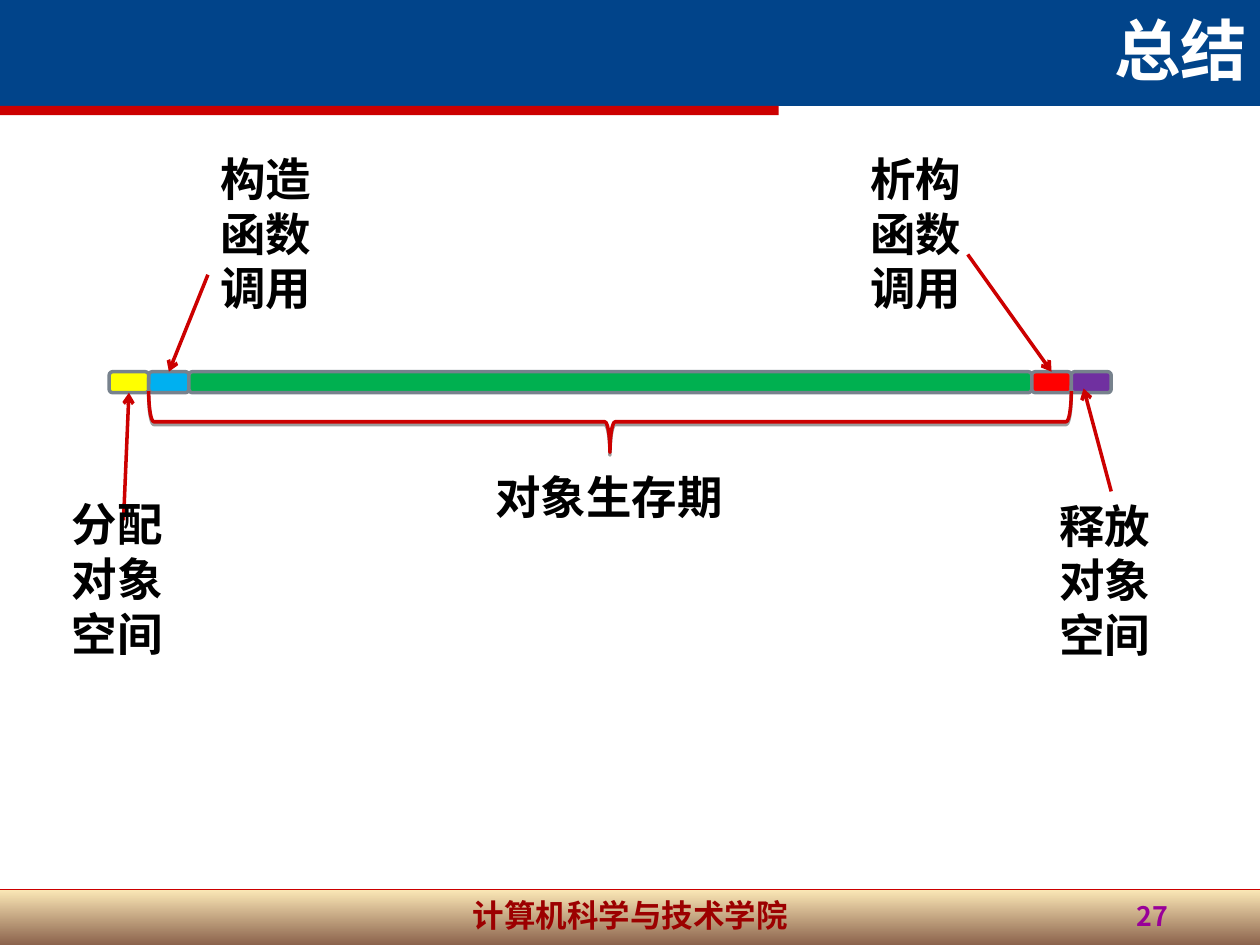
from dataclasses import dataclass
from itertools import pairwise
from typing import NamedTuple, Optional

from lxml.etree import SubElement
from pptx import Presentation
from pptx.dml.color import RGBColor
from pptx.enum.dml import MSO_FILL
from pptx.enum.shapes import MSO_CONNECTOR, MSO_SHAPE
from pptx.enum.text import MSO_ANCHOR, PP_ALIGN
from pptx.oxml.ns import qn
from pptx.util import Pt


@dataclass(frozen=True)
class Theme:
    font: str = "Noto Sans CJK SC"
    header: str = "01448A"
    accent: str = "CC0000"
    outline: str = "77828D"
    footer_top: str = "FCE2A0"
    footer_bottom: str = "663012"
    footer_text: str = "9C0000"
    page_text: str = "990099"
    title_text: str = "FFFFFF"
    label_text: str = "000000"
    title_size: float = 38
    label_size: float = 26
    footer_size: float = 18
    page_size: float = 15.3
    line_width: float = 2


THEME = Theme()


class Box(NamedTuple):
    left: float
    top: float
    width: float
    height: float

    def lengths(self) -> list:
        return [Pt(value) for value in self]


class Callout(NamedTuple):
    """A label with an arrow to one segment of the lifetime bar."""
    wording: str
    box: Box
    start: tuple
    end: tuple
    segment: int
    end_site: Optional[int] = None
    start_site: Optional[int] = None


def set_values(target, values: dict) -> None:
    for name, value in values.items():
        setattr(target, name, value)


def paint_line(line, color: str, width: float) -> None:
    line.color.rgb = RGBColor.from_string(color)
    line.width = Pt(width)


def add_block(slide, preset, box: Box, fill: Optional[str] = None,
              outline: Optional[str] = None):
    block = slide.shapes.add_shape(preset, *box.lengths())
    block.shadow.inherit = False
    if fill:
        block.fill.solid()
        block.fill.fore_color.rgb = RGBColor.from_string(fill)
    else:
        block.fill.background()
    if outline:
        paint_line(block.line, outline, THEME.line_width)
    else:
        block.line.fill.background()
    return block


def add_label(slide, wording: str, box: Box, size: float, color: str,
              align=PP_ALIGN.LEFT, anchor=MSO_ANCHOR.TOP, wrap: bool = True):
    label = slide.shapes.add_textbox(*box.lengths())
    set_values(label.text_frame, {"word_wrap": wrap, "vertical_anchor": anchor})
    paragraph = label.text_frame.paragraphs[0]
    set_values(paragraph, {"alignment": align, "line_spacing": Pt(size * 1.2)})
    run = paragraph.add_run()
    run.text = wording
    set_values(run.font, {"name": THEME.font, "size": Pt(size), "bold": True})
    run.font.color.rgb = RGBColor.from_string(color)
    SubElement(run.font._element, qn("a:ea"), typeface=THEME.font)
    return label


def add_line(slide, start: tuple, end: tuple, width: float, arrow: bool = False):
    connector = slide.shapes.add_connector(
        MSO_CONNECTOR.STRAIGHT, *(Pt(value) for value in (*start, *end)))
    paint_line(connector.line, THEME.accent, width)
    if arrow:
        SubElement(connector.line._get_or_add_ln(), qn("a:tailEnd"), type="arrow")
    SubElement(connector._element.spPr, qn("a:effectLst"))
    return connector


def add_callout(slide, callout: Callout, segments: list) -> None:
    arrow = add_line(slide, callout.start, callout.end, THEME.line_width, arrow=True)
    label = add_label(slide, callout.wording, callout.box,
                      THEME.label_size, THEME.label_text)
    if callout.start_site is not None:
        arrow.begin_connect(label, callout.start_site)
    if callout.end_site is not None:
        arrow.end_connect(segments[callout.segment], callout.end_site)


def add_footer(slide) -> None:
    band = add_block(slide, MSO_SHAPE.RECTANGLE, Box(0, 508.3, 720, 31.7))
    band.fill.gradient()
    assert band.fill.type == MSO_FILL.GRADIENT
    band.fill.gradient_angle = 270
    stops = zip(band.fill.gradient_stops, (THEME.footer_top, THEME.footer_bottom), (0, 1))
    for stop, color, position in stops:
        stop.color.rgb = RGBColor.from_string(color)
        stop.position = position
    for tint in band._element.spPr.iter(qn("a:srgbClr")):
        SubElement(tint, qn("a:alpha"), val="75000")
    add_line(slide, (0, 508.3), (720, 508.3), 0.25)
    add_label(slide, "计算机科学与技术学院", Box(246.2, 508.3, 228.2, 31.7),
              THEME.footer_size, THEME.footer_text, PP_ALIGN.CENTER)


def add_header(slide) -> None:
    add_block(slide, MSO_SHAPE.RECTANGLE, Box(0, 0, 720, 60.5), THEME.header)
    add_block(slide, MSO_SHAPE.RECTANGLE, Box(0, 60.5, 445, 5.3), THEME.accent)
    add_label(slide, "总结", Box(224, 0, 496, 54), THEME.title_size,
              THEME.title_text, PP_ALIGN.RIGHT, MSO_ANCHOR.BOTTOM)


def add_lifetime_brace(slide, left: float, right: float) -> None:
    """Draw a brace that opens upwards between two positions on the bar."""
    depth, span, middle = 35, right - left, 241
    brace = add_block(
        slide, MSO_SHAPE.LEFT_BRACE,
        Box((left + right - depth) / 2, middle - span / 2, depth, span),
        outline=THEME.accent)
    brace.rotation = 270
    effects = brace._element.spPr.find(qn("a:effectLst"))
    shadow = SubElement(effects, qn("a:outerShdw"), blurRad="0",
                        dist=str(Pt(1.6)), dir="5400000", rotWithShape="0")
    shade = SubElement(shadow, qn("a:srgbClr"), val="000000")
    SubElement(shade, qn("a:alpha"), val="38000")


BAR_TOP, BAR_HEIGHT = 212.4, 12
BAR_BOTTOM = BAR_TOP + BAR_HEIGHT
BAR_EDGES = (62.4, 85, 108, 589.6, 612.2, 635)
SEGMENT_COLORS = ("FFFF00", "00B0F0", "00B050", "FF0000", "7030A0")
ALLOCATE, CONSTRUCT, LIVE, DESTRUCT, RELEASE = range(5)
LABEL_WIDTH, LABEL_HEIGHT = 73.4, 100.8

CALLOUTS = (
    Callout("分配对象空间", Box(33.8, 280.1, LABEL_WIDTH, LABEL_HEIGHT),
            (70.6, 297.4), (73.7, BAR_BOTTOM), ALLOCATE, end_site=2),
    Callout("构造函数调用", Box(118.8, 82.8, LABEL_WIDTH, LABEL_HEIGHT),
            (118.8, 157), (96.5, BAR_TOP), CONSTRUCT, end_site=0),
    Callout("析构函数调用", Box(490.3, 82.8, LABEL_WIDTH, LABEL_HEIGHT),
            (553, 145.4), (600.9, BAR_TOP), DESTRUCT, end_site=0),
    Callout("释放对象空间", Box(598.3, 280.8, LABEL_WIDTH, LABEL_HEIGHT),
            (635, 280.8), (619.2, 222), RELEASE, start_site=0),
)


def main() -> None:
    deck = Presentation()
    set_values(deck, {"slide_width": Pt(720), "slide_height": Pt(540)})
    slide = deck.slides.add_slide(deck.slide_layouts[6])
    add_footer(slide)
    add_header(slide)
    add_label(slide, "27", Box(518.4, 510.5, 156.2, 31.7), THEME.page_size,
              THEME.page_text, PP_ALIGN.RIGHT)

    segments = [
        add_block(slide, MSO_SHAPE.ROUNDED_RECTANGLE,
                  Box(left, BAR_TOP, right - left, BAR_HEIGHT), color, THEME.outline)
        for (left, right), color in zip(pairwise(BAR_EDGES), SEGMENT_COLORS)
    ]
    add_lifetime_brace(slide, BAR_EDGES[CONSTRUCT], BAR_EDGES[RELEASE])
    add_label(slide, "对象生存期", Box(275.8, 264.2, 144.7, 38.9),
              THEME.label_size, THEME.label_text, wrap=False)
    for callout in CALLOUTS:
        add_callout(slide, callout, segments)
    deck.save("out.pptx")


if __name__ == "__main__":
    main()
